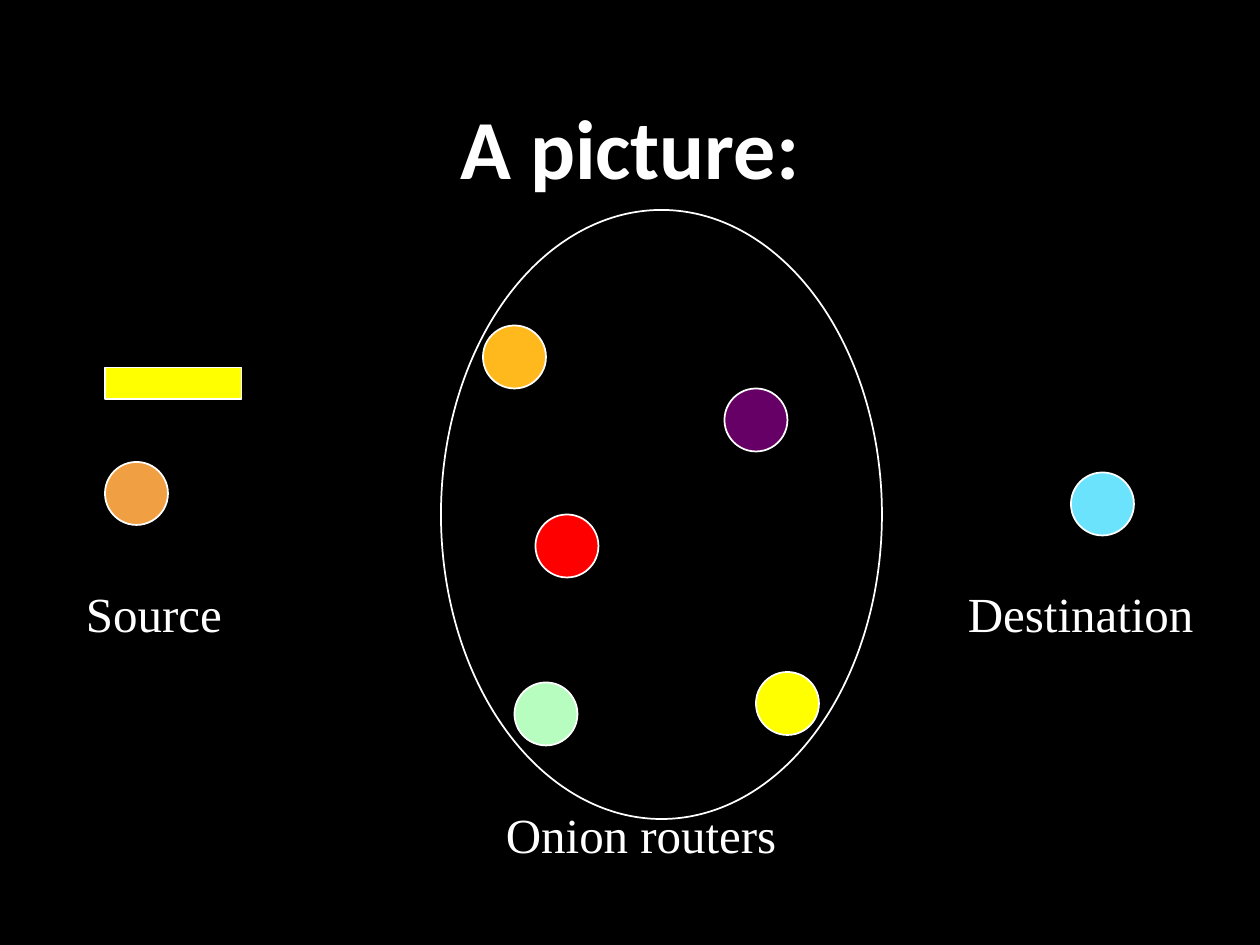
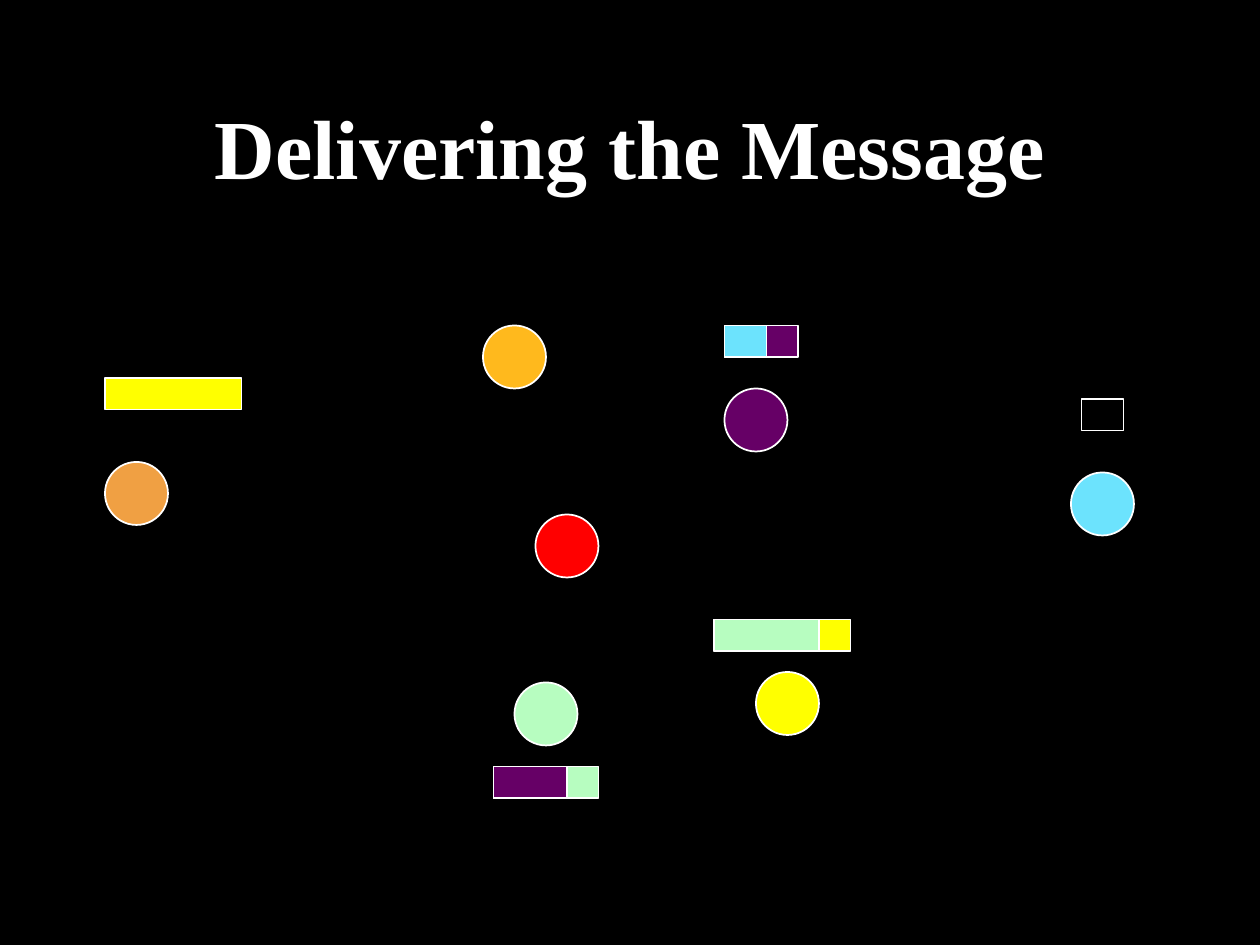
"""Builds two slides on onion routing: the routers, then the message on its way."""
import pptx
import pptx.dml.color
import pptx.enum.shapes
import pptx.enum.text
import pptx.util


class Theme:
    black = "000000"
    white = "FFFFFF"
    amber = "FFB91D"
    red = "FF0000"
    purple = "660066"
    yellow = "FFFF00"
    orange = "F0A043"
    cyan = "6CE3FD"
    mint = "B7FDC0"
    serif = "Times New Roman"
    sans = "Calibri"
    title = 48
    label = 28
    line = 1


Kind = pptx.enum.shapes.MSO_SHAPE
Fit = pptx.enum.text.MSO_AUTO_SIZE
Color = pptx.dml.color.RGBColor.from_string

deck = pptx.Presentation()
deck.slide_width = pptx.util.Inches(10)
deck.slide_height = pptx.util.Inches(7.5)
unit = deck.slide_width / 120
back = deck.slide_master.background.fill
back.solid()
back.fore_color.rgb = Color(Theme.black)


def draw(slide, kind, box, fill=None):
    """Draw one outlined shape; box is left, top, width and height in grid units."""
    shape = slide.shapes.add_shape(kind, *[round(n * unit) for n in box])
    shape.shadow.inherit = False
    if fill:
        shape.fill.solid()
        shape.fill.fore_color.rgb = Color(fill)
    else:
        shape.fill.background()
    shape.line.color.rgb = Color(Theme.white)
    shape.line.width = pptx.util.Pt(Theme.line)


def write(frame, text, size, face, bold=False):
    """Add one white run to the first paragraph of a text frame."""
    run = frame.paragraphs[0].add_run()
    run.text = text
    run.font.size = pptx.util.Pt(size)
    run.font.name = face
    run.font.bold = bold
    run.font.color.rgb = Color(Theme.white)


nodes = [
    (46, 31, Theme.amber),
    (51, 49, Theme.red),
    (69, 37, Theme.purple),
    (72, 64, Theme.yellow),
    (10, 44, Theme.orange),
    (102, 45, Theme.cyan),
    (49, 65, Theme.mint),
]

slides = []
for text, face in [("A picture:", Theme.sans), ("Delivering the Message", Theme.serif)]:
    slide = deck.slides.add_slide(deck.slide_layouts[5])
    slides.append(slide)
    title = slide.shapes.title
    title.left, title.top, title.width, title.height = [round(n * unit) for n in (9, 8, 102, 15)]
    frame = title.text_frame
    frame.auto_size = Fit.NONE
    frame.vertical_anchor = pptx.enum.text.MSO_ANCHOR.MIDDLE
    frame.margin_bottom = pptx.util.Inches(0.32)
    frame.paragraphs[0].alignment = pptx.enum.text.PP_ALIGN.CENTER
    write(frame, text, Theme.title, face, True)
    for left, top, fill in nodes:
        draw(slide, Kind.OVAL, (left, top, 6, 6), fill)

scene, route = slides

for text, left, top, width in [
    ("Source", 7, 55, 15.5),
    ("Destination", 91, 55, 24),
    ("Onion routers", 47, 76, 28.5),
]:
    label = scene.shapes.add_textbox(*[round(n * unit) for n in (left, top, width, 7)])
    label.text_frame.word_wrap = False
    label.text_frame.auto_size = Fit.SHAPE_TO_FIT_TEXT
    write(label.text_frame, text, Theme.label, Theme.serif)

draw(scene, Kind.OVAL, (42, 20, 42, 58))

layers = {Theme.yellow: 13, Theme.mint: 10, Theme.purple: 7, Theme.cyan: 4, Theme.black: 4}
for slide, left, top, fills in [
    (scene, 10, 35, [Theme.yellow]),
    (route, 10, 36, [Theme.yellow]),
    (route, 68, 59, [Theme.yellow, Theme.mint]),
    (route, 47, 73, [Theme.mint, Theme.purple]),
    (route, 69, 31, [Theme.purple, Theme.cyan]),
    (route, 103, 38, [Theme.black]),
]:
    for fill in fills:
        draw(slide, Kind.RECTANGLE, (left, top, layers[fill], 3), fill)

deck.save("out.pptx")
